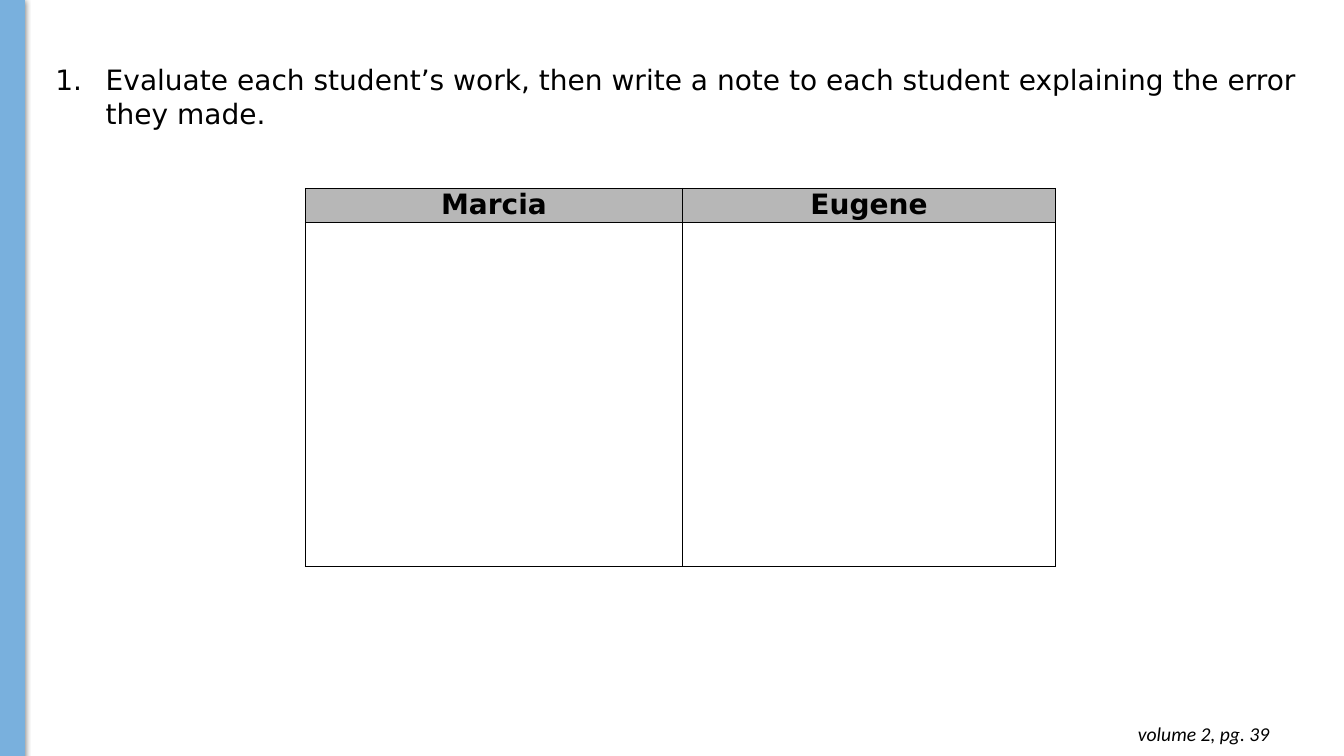
import pptx
import pptx.util
import pptx.dml.color
import pptx.enum.shapes
import pptx.enum.text
import pptx.oxml
import pptx.oxml.ns

Inches = pptx.util.Inches
Pt = pptx.util.Pt
ALIGN = pptx.enum.text.PP_ALIGN
NS = pptx.oxml.ns.nsdecls("a")


def color(value):
    return pptx.dml.color.RGBColor.from_string(value)


def add_xml(parent, xml):
    parent.append(pptx.oxml.parse_xml(xml))


def style(p, font, size, align, bold=False, italic=False):
    p.alignment = align
    p.font.name = font
    p.font.size = Pt(size)
    p.font.bold = bold
    p.font.italic = italic
    p.font.color.rgb = color("000000")


def add_side_bar(s):
    bar = s.shapes.add_shape(
        pptx.enum.shapes.MSO_SHAPE.RECTANGLE,
        Inches(0), Inches(-0.01), Inches(0.24), Inches(7.51))
    bar.fill.solid()
    bar.fill.fore_color.rgb = color("79B0DD")
    bar.line.color.rgb = color("79B0DD")
    bar.line.width = Pt(0.75)
    add_xml(bar._element.spPr,
            f'<a:effectLst {NS}><a:outerShdw blurRad="{Pt(4.5)}" dist="{Pt(1.5)}" '
            'dir="5400000" algn="bl" rotWithShape="0"><a:srgbClr val="000000">'
            '<a:alpha val="50000"/></a:srgbClr></a:outerShdw></a:effectLst>')


def add_text(s, text, left, top, width, height):
    sp = s.shapes.add_textbox(Inches(left), Inches(top), Inches(width), Inches(height))
    tf = sp.text_frame
    tf.word_wrap = True
    p = tf.paragraphs[0]
    p.text = text
    return tf, p


def add_question(s, text):
    tf, p = add_text(s, text, 0.45, 0.57, 12.61, 0.77)
    pPr = p._p.get_or_add_pPr()
    pPr.set("marL", str(Inches(0.5)))
    pPr.set("indent", str(Inches(-0.5)))
    add_xml(pPr, f'<a:buClr {NS}><a:srgbClr val="000000"/></a:buClr>')
    add_xml(pPr, f'<a:buAutoNum {NS} type="arabicPeriod"/>')
    style(p, "DejaVu Sans", 20, ALIGN.LEFT)


def add_page_reference(s, text):
    tf, p = add_text(s, text, 9.81, 7.06, 2.88, 0.44)
    tf.margin_left = tf.margin_right = Inches(0.1)
    tf.margin_top = tf.margin_bottom = Inches(0.1)
    style(p, "Calibri", 14, ALIGN.RIGHT, italic=True)


def set_borders(cell):
    tcPr = cell._tc.get_or_add_tcPr()
    for side in "LRTB":
        add_xml(tcPr,
                f'<a:ln{side} {NS} w="{Pt(1)}"><a:solidFill><a:srgbClr val="000000"/>'
                f'</a:solidFill></a:ln{side}>')


def add_student_table(s, names):
    table = s.shapes.add_table(2, len(names), Inches(3.03), Inches(1.87),
                               Inches(7.44), Inches(3.75)).table
    table.first_row = table.horz_banding = False
    for column, width in zip(table.columns, (3.74, 3.7)):
        column.width = Inches(width)
    for row, height in zip(table.rows, (0.34, 3.41)):
        row.height = Inches(height)
    for cell in table.iter_cells():
        cell.margin_left = cell.margin_right = Inches(0.07)
        cell.margin_top = cell.margin_bottom = 0
        set_borders(cell)
        cell.fill.background()
    for cell, name in zip(table.rows[0].cells, names):
        cell.fill.solid()
        cell.fill.fore_color.rgb = color("B7B7B7")
        p = cell.text_frame.paragraphs[0]
        p.text = name
        style(p, "DejaVu Sans", 20, ALIGN.CENTER, bold=True)


def main():
    prs = pptx.Presentation()
    prs.slide_width = Inches(13.33)
    prs.slide_height = Inches(7.5)
    s = prs.slides.add_slide(prs.slide_layouts[6])
    add_side_bar(s)
    add_page_reference(s, "volume 2, pg. 39")
    add_question(s, "Evaluate each student’s work, then write a note to each "
                    "student explaining the error they made.")
    add_student_table(s, ("Marcia", "Eugene"))
    prs.save("out.pptx")


if __name__ == "__main__":
    main()
